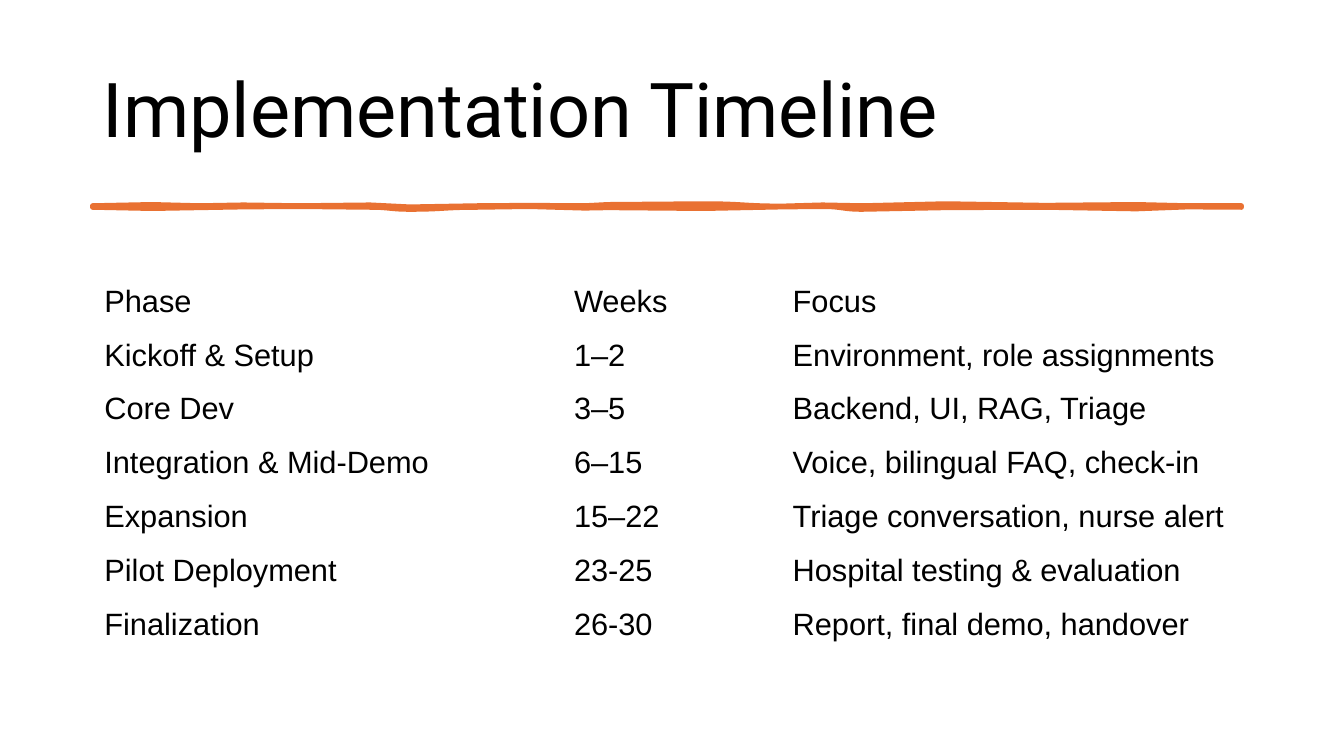
from dataclasses import dataclass

from lxml import etree
from pptx import Presentation
from pptx.dml.color import RGBColor
from pptx.enum.text import MSO_ANCHOR
from pptx.oxml.ns import qn
from pptx.util import Cm, Pt


@dataclass(frozen=True)
class Theme:
    text: RGBColor = RGBColor(0x00, 0x00, 0x00)
    accent: RGBColor = RGBColor(0xE9, 0x71, 0x32)
    title_font: str = "Roboto"
    body_font: str = "Arial"
    title_size: Pt = Pt(54)
    body_size: Pt = Pt(22)
    rule_width: Pt = Pt(3.25)


@dataclass(frozen=True)
class Box:
    left: float
    top: float
    width: float
    height: float

    def lengths(self):
        return Cm(self.left), Cm(self.top), Cm(self.width), Cm(self.height)


THEME = Theme()

TIMELINE = [
    ("Phase", "Weeks", "Focus"),
    ("Kickoff & Setup", "1–2", "Environment, role assignments"),
    ("Core Dev", "3–5", "Backend, UI, RAG, Triage"),
    ("Integration & Mid-Demo", "6–15", "Voice, bilingual FAQ, check-in"),
    ("Expansion", "15–22", "Triage conversation, nurse alert"),
    ("Pilot Deployment", "23-25", "Hospital testing & evaluation"),
    ("Finalization", "26-30", "Report, final demo, handover"),
]
COLUMN_SHARES = (4.66, 2.17, 4.67)

BRUSH_PROFILE = [
    (0, 0, 0.05), (1.5, -0.03, 0.08), (2.7, 0, 0.06), (3.8, -0.02, 0.04),
    (5.2, 0, 0.03), (7, -0.02, 0.05), (8, 0.03, 0.1), (9.7, 0, 0.05),
    (11, -0.01, 0.03), (12.4, 0, 0.07), (13, -0.03, 0.06),
    (15.4, -0.05, 0.08), (17.4, 0.01, 0.04), (18.4, -0.02, 0.03),
    (19.4, 0, 0.1), (21.5, -0.05, 0.06), (24, -0.01, 0.05),
    (26.3, -0.03, 0.09), (27.6, 0, 0.04), (28.96, 0, 0.05),
]


def style_runs(paragraph, font_name, size):
    for run in paragraph.runs:
        run.font.name = font_name
        run.font.size = size
        run.font.bold = False
        run.font.color.rgb = THEME.text


def add_title(slide, box, text):
    shape = slide.shapes.add_textbox(*box.lengths())
    text_frame = shape.text_frame
    text_frame.word_wrap = True
    text_frame.vertical_anchor = MSO_ANCHOR.MIDDLE
    text_frame.text = text
    paragraph = text_frame.paragraphs[0]
    paragraph.line_spacing = 0.9
    style_runs(paragraph, THEME.title_font, THEME.title_size)


def curve_segments(shape):
    points = list(shape.element.iter(qn("a:pt")))
    corners = [(int(point.get("x")), int(point.get("y"))) for point in points]
    for point, (start_x, start_y), (end_x, end_y) in zip(points[1:], corners, corners[1:]):
        segment = point.getparent()
        curve = etree.Element(qn("a:cubicBezTo"))
        middle = (start_x + end_x) // 2
        for x, y in ((middle, start_y), (middle, end_y), (end_x, end_y)):
            etree.SubElement(curve, qn("a:pt"), x=str(x), y=str(y))
        segment.getparent().replace(segment, curve)


def add_brush_rule(slide, box):
    stretch = box.width / BRUSH_PROFILE[-1][0]
    upper = [(x * stretch, top) for x, top, _ in BRUSH_PROFILE]
    lower = [(x * stretch, bottom) for x, _, bottom in BRUSH_PROFILE]
    outline = [(Cm(box.left + x), Cm(box.top + y)) for x, y in upper + lower[::-1]]
    builder = slide.shapes.build_freeform(*outline[0])
    builder.add_line_segments(outline[1:], close=True)
    shape = builder.convert_to_shape()
    curve_segments(shape)
    shape.shadow.inherit = False
    shape.fill.solid()
    shape.fill.fore_color.rgb = THEME.accent
    shape.line.color.rgb = THEME.accent
    shape.line.width = THEME.rule_width


def add_timeline_table(slide, box, rows):
    table = slide.shapes.add_table(len(rows), len(rows[0]), *box.lengths()).table
    table.first_row = False
    table.horz_banding = False
    for column, share in zip(table.columns, COLUMN_SHARES):
        column.width = Cm(box.width * share / sum(COLUMN_SHARES))
    for row, texts in zip(table.rows, rows):
        row.height = Cm(box.height / len(rows))
        for cell, text in zip(row.cells, texts):
            cell.fill.background()
            cell.vertical_anchor = MSO_ANCHOR.MIDDLE
            cell.margin_left = cell.margin_right = Cm(0.3)
            cell.margin_top = cell.margin_bottom = Cm(0.15)
            cell.text_frame.text = text
            style_runs(cell.text_frame.paragraphs[0], THEME.body_font, THEME.body_size)


def add_timeline_slide(presentation):
    slide = presentation.slides.add_slide(presentation.slide_layouts[6])
    add_title(slide, Box(2.34, 1.01, 29.21, 3.68), "Implementation Timeline")
    add_brush_rule(slide, Box(2.33, 5.18, 28.96, 0.05))
    add_timeline_table(slide, Box(2.33, 6.92, 29.21, 9.5), TIMELINE)


def main():
    presentation = Presentation()
    presentation.slide_width = Cm(33.87)
    presentation.slide_height = Cm(19.05)
    add_timeline_slide(presentation)
    presentation.save("out.pptx")


if __name__ == "__main__":
    main()
